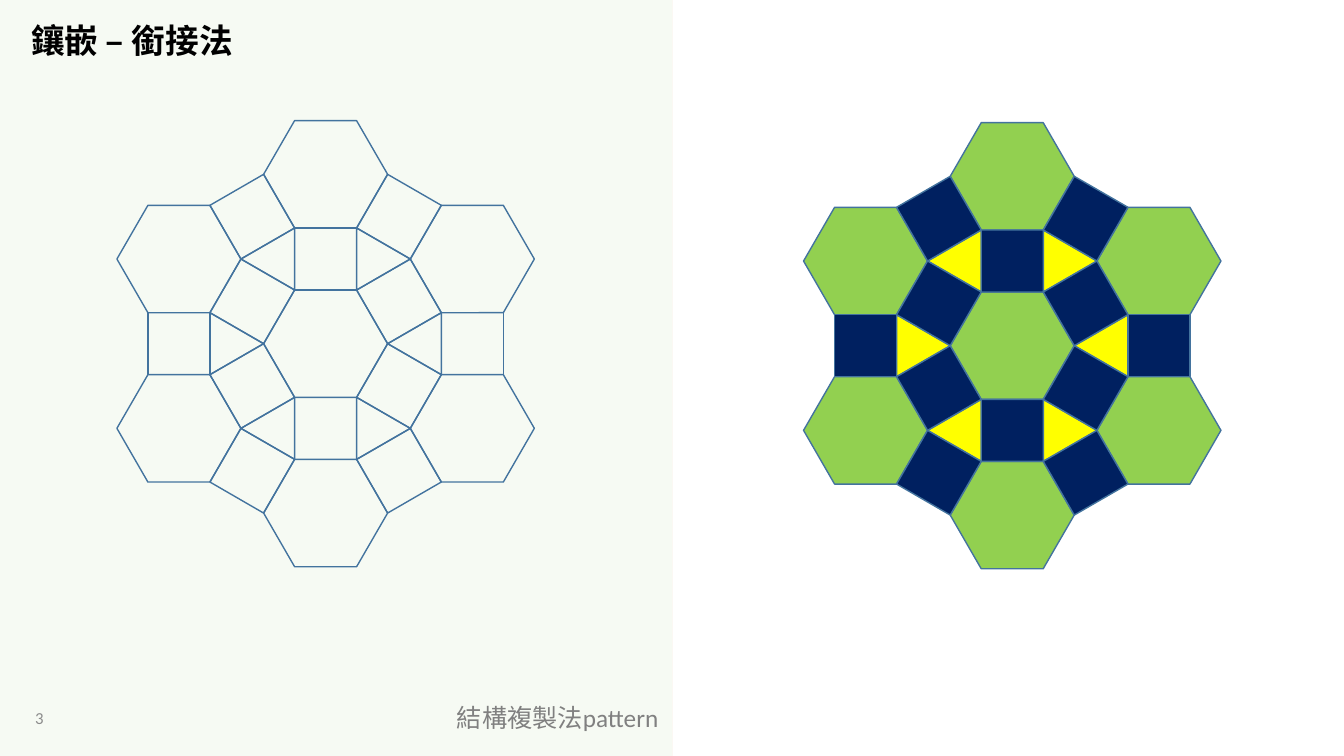
from math import cos, radians, sin, sqrt

from lxml import etree
from pptx import Presentation
from pptx.dml.color import RGBColor
from pptx.enum import shapes, text
from pptx.oxml.ns import qn
from pptx.util import Inches, Pt

CJK = "Noto Sans CJK SC"
SIDE = 0.615  # common edge length of every tile
EDGE = "43739E"


def rgb(hex_colour):
    return RGBColor.from_string(hex_colour)


def set_alpha(sp, percent):
    for colour in sp._element.spPr.iter(qn("a:srgbClr")):
        etree.SubElement(colour, qn("a:alpha")).set("val", str(percent * 1000))


def add_panel(s):
    sp = s.shapes.add_shape(shapes.MSO_SHAPE.RECTANGLE, 0, 0, Inches(6.67), Inches(7.5))
    sp.shadow.inherit = False
    sp.fill.solid()
    sp.fill.fore_color.rgb = rgb("E2F0D9")
    sp.line.fill.background()
    set_alpha(sp, 30)


def add_divider(s):
    x = Inches(6.67)
    line = s.shapes.add_connector(shapes.MSO_CONNECTOR.STRAIGHT, x, Inches(7.5), x, 0)
    line.line.color.rgb = rgb("FBE5D6")
    line.line.width = Pt(0.25)
    set_alpha(line, 50)
    etree.SubElement(line._element.spPr, qn("a:effectLst"))


def add_label(s, words, box, fmt, colour, align="LEFT", spacing=1.0,
              shape=shapes.MSO_SHAPE.RECTANGLE):
    sp = s.shapes.add_shape(shape, *map(Inches, box))
    sp.shadow.inherit = False
    sp.fill.background()
    sp.line.fill.background()
    tf = sp.text_frame
    tf.word_wrap = True
    tf.vertical_anchor = text.MSO_ANCHOR.MIDDLE
    p = tf.paragraphs[0]
    p.alignment = getattr(text.PP_ALIGN, align)
    p.line_spacing = spacing
    r = p.add_run()
    r.text = words
    for name, value in fmt.items():
        setattr(r.font, name, value)
    r.font.color.rgb = rgb(colour)
    etree.SubElement(r._r.get_or_add_rPr(), qn("a:ea")).set("typeface", CJK)


def add_tile(group, sides, centre, first_angle, fill):
    """Regular polygon with edge SIDE, one corner lying at first_angle degrees."""
    radius = SIDE / (2 * sin(radians(180 / sides)))
    angles = [radians(first_angle + 360 * i / sides) for i in range(sides)]
    points = [(Inches(centre[0] + radius * cos(a)), Inches(centre[1] + radius * sin(a)))
              for a in angles]
    builder = group.shapes.build_freeform(*points[0])
    builder.add_line_segments(points[1:], close=True)
    sp = builder.convert_to_shape()
    sp.shadow.inherit = False
    if fill:
        sp.fill.solid()
        sp.fill.fore_color.rgb = rgb(fill)
    else:
        sp.fill.background()
    sp.line.color.rgb = rgb(EDGE)
    sp.line.width = Pt(1)


def add_tessellation(s, cx, cy, triangle=None, hexagon=None, square=None):
    group = s.shapes.add_group_shape()
    # Rings: sides, distance from centre, ring start, corner offset, fill
    rings = [
        (3, SIDE * (1 + 1 / sqrt(3)), 0, 180, triangle),
        (6, SIDE * (1 + sqrt(3)), 30, 30, hexagon),
        (4, SIDE * (1 + sqrt(3)) / 2, 30, 45, square),
        (4, SIDE * (3 + sqrt(3)) / 2, 0, 45, square),
    ]
    add_tile(group, 6, (cx, cy), 0, hexagon)
    for sides, distance, start, offset, fill in rings:
        for angle in range(start, start + 360, 60):
            a = radians(angle)
            centre = cx + distance * cos(a), cy + distance * sin(a)
            add_tile(group, sides, centre, angle + offset, fill)


def main():
    prs = Presentation()
    prs.slide_width, prs.slide_height = Inches(13.33), Inches(7.5)
    s = prs.slides.add_slide(prs.slide_layouts[6])

    # Background and page number
    add_panel(s)
    add_divider(s)
    add_label(s, "3", (0.25, 6.93, 0.67, 0.39), {"size": Pt(12), "name": "Calibri"}, "8C8C8C")

    # Title
    add_label(s, "鑲嵌 – 銜接法", (0.21, 0.18, 5.7, 0.49),
              {"size": Pt(24), "name": CJK, "bold": True}, "000000", spacing=0.9)

    # Outline and coloured tessellations
    add_tessellation(s, 3.23, 3.41)
    add_tessellation(s, 10.04, 3.43, triangle="FFFF00", hexagon="92D050", square="002060")

    # Section label
    add_label(s, "結構複製法pattern", (4.4, 6.89, 2.25, 0.45),
              {"size": Pt(18), "name": "Calibri"}, "808080", align="RIGHT",
              shape=shapes.MSO_SHAPE.ROUNDED_RECTANGLE)

    prs.save("out.pptx")


if __name__ == "__main__":
    main()
